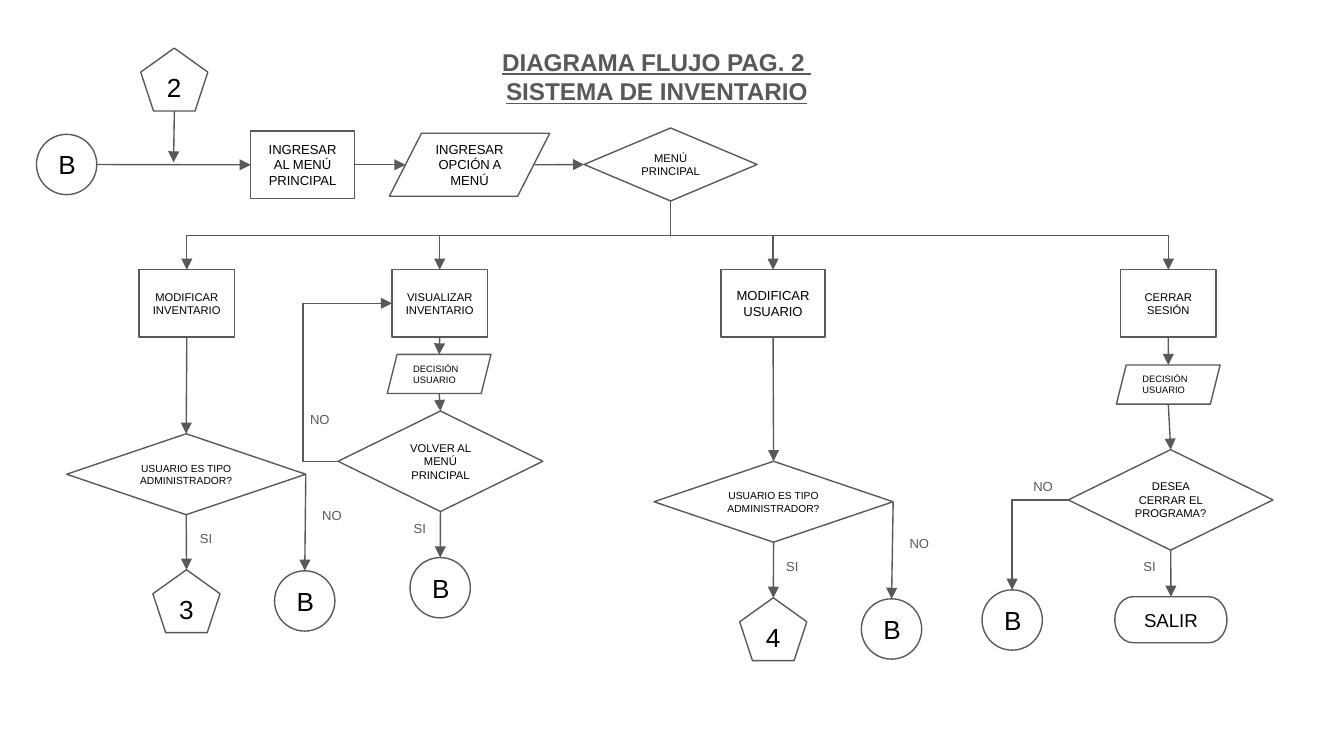
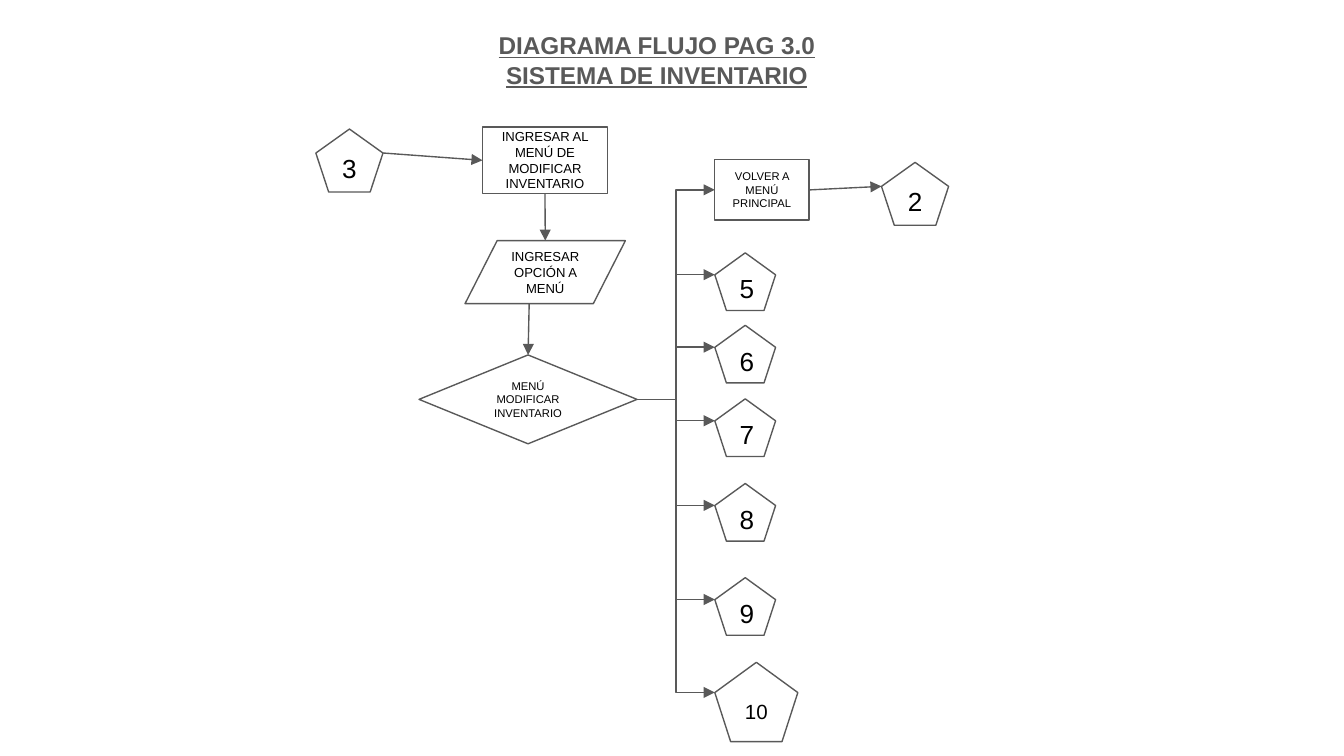
from dataclasses import dataclass

from lxml.etree import SubElement
from pptx import Presentation
from pptx.dml.color import RGBColor
from pptx.enum.shapes import MSO_CONNECTOR as Route, MSO_SHAPE as Preset
from pptx.enum.text import MSO_ANCHOR as Anchor, PP_ALIGN as Align
from pptx.oxml.ns import qn
from pptx.util import Cm, Pt


@dataclass(frozen=True)
class Theme:
    font: str = "Arial"
    ink: RGBColor = RGBColor(0, 0, 0)
    gray: RGBColor = RGBColor(0x59, 0x59, 0x59)
    paper: RGBColor = RGBColor(0xFF, 0xFF, 0xFF)
    title: float = 13
    letter: float = 14
    button: float = 10
    wide: float = 11
    label: float = 7
    step: float = 7
    small: float = 6
    question: float = 5.5
    tiny: float = 5
    line: float = 0.75
    inset: float = 0.25


THEME = Theme()
CIRCLE = (1.14, 1.14)
PAGE = (1.27, 1.19)
SMALL_PAGE = (1.15, 1.09)
OPTION = (3.03, 1.19)
BOX = (1.8, 1.27)
WIDE_BOX = (1.96, 1.27)
INPUT = (1.96, 0.74)
QUESTION = (4.52, 1.53)
EXIT_QUESTION = (3.87, 1.9)
LABEL_WIDTH = {"SI": 0.76, "NO": 0.91}
LABEL_HEIGHT = 0.58
ROW = 5.1
EXITS = 13.51

KINDS = {
    "circle": Preset.OVAL,
    "page": Preset.REGULAR_PENTAGON,
    "box": Preset.RECTANGLE,
    "diamond": Preset.DIAMOND,
    "option": Preset.FLOWCHART_DATA,
    "input": Preset.PARALLELOGRAM,
    "end": Preset.FLOWCHART_TERMINATOR,
}
SIDES = {"left": (0, 0.5), "right": (1, 0.5), "top": (0.5, 0), "bottom": (0.5, 1)}
SPECIAL_SIDES = {
    "page": {"left": (0, 0.38), "right": (1, 0.38)},
    "option": {"left": (0.1, 0.5), "right": (0.9, 0.5), "bottom": (0.4, 1)},
}

MAIN_MENU = {
    "title": (0.64, ["DIAGRAMA FLUJO PAG. 2 ", "SISTEMA DE INVENTARIO"]),
    "nodes": [
        ("start", "circle", 0.69, 2.54, CIRCLE, "B", THEME.letter),
        ("page 2", "page", 2.66, 0.91, PAGE, "2", THEME.letter),
        ("enter", "box", 4.74, 2.48, WIDE_BOX, "INGRESAR AL MENÚ PRINCIPAL", THEME.step),
        ("option", "option", 7.36, 2.52, OPTION, "INGRESAR OPCIÓN A MENÚ", THEME.step),
        ("menu", "diamond", 11.04, 2.42, (3.27, 1.38), "MENÚ PRINCIPAL", THEME.small),
        ("inventory", "box", 2.63, ROW, BOX, "MODIFICAR INVENTARIO", THEME.small),
        ("view", "box", 7.41, ROW, BOX, "VISUALIZAR INVENTARIO", THEME.small),
        ("user", "box", 13.63, ROW, WIDE_BOX, "MODIFICAR USUARIO", THEME.step),
        ("close", "box", 21.18, ROW, BOX, "CERRAR SESIÓN", THEME.small),
        ("view input", "input", 7.32, 6.7, INPUT, "DECISIÓN USUARIO", THEME.tiny),
        ("close input", "input", 21.1, 6.9, INPUT, "DECISIÓN USUARIO", THEME.tiny),
        ("inventory admin", "diamond", 1.26, 8.2, QUESTION,
         "USUARIO ES TIPO ADMINISTRADOR?", THEME.question),
        ("back", "diamond", 6.39, 7.77, EXIT_QUESTION,
         "VOLVER AL MENÚ PRINCIPAL", THEME.small),
        ("user admin", "diamond", 12.36, 8.72, QUESTION,
         "USUARIO ES TIPO ADMINISTRADOR?", THEME.question),
        ("quit", "diamond", 20.19, 8.5, EXIT_QUESTION,
         "DESEA CERRAR EL PROGRAMA?", THEME.small),
        ("page 3", "page", 2.89, 10.77, PAGE, "3", THEME.letter),
        ("inventory B", "circle", 5.19, 10.79, CIRCLE, "B", THEME.letter),
        ("back B", "circle", 7.75, 10.54, CIRCLE, "B", THEME.letter),
        ("page 4", "page", 13.98, 11.3, PAGE, "4", THEME.letter),
        ("user B", "circle", 16.28, 11.32, CIRCLE, "B", THEME.letter),
        ("quit B", "circle", 18.56, 11.15, CIRCLE, "B", THEME.letter),
        ("exit", "end", 21.07, 11.28, (2.12, 0.87), "SALIR", THEME.button),
    ],
    "links": [
        ("start", "right", "enter", "left", "straight"),
        ("page 2", "bottom", (3.28, 3.07), None, "straight"),
        ("enter", "right", "option", "left", "straight"),
        ("option", "right", "menu", "left", "straight"),
        *[("menu", "bottom", target, "top", "drop")
          for target in ("inventory", "view", "user", "close")],
        ("inventory", "bottom", "inventory admin", "top", "straight"),
        ("inventory admin", "bottom", "page 3", "top", "straight"),
        ("inventory admin", "right", "inventory B", "top", "straight"),
        ("view", "bottom", "view input", "top", "straight"),
        ("view input", "bottom", "back", "top", "straight"),
        ("back", "bottom", "back B", "top", "straight"),
        ("back", "left", "view", "left", "loop"),
        ("user", "bottom", "user admin", "top", "straight"),
        ("user admin", "bottom", "page 4", "top", "straight"),
        ("user admin", "right", "user B", "top", "straight"),
        ("close", "bottom", "close input", "top", "straight"),
        ("close input", "bottom", "quit", "top", "straight"),
        ("quit", "bottom", "exit", "top", "straight"),
        ("quit", "left", "quit B", "top", "corner"),
    ],
    "labels": [
        ("SI", 3.53, 9.88), ("NO", 5.84, 9.45),
        ("SI", 7.57, 9.68), ("NO", 5.61, 7.62),
        ("SI", 14.61, 10.41), ("NO", 16.94, 9.98),
        ("SI", 21.36, 10.41), ("NO", 19.28, 8.89),
    ],
}

EXIT_TOPS = {"5": 4.78, "6": 6.15, "7": 7.54, "8": 9.14, "9": 10.92}
INVENTORY_MENU = {
    "title": (0.33, ["DIAGRAMA FLUJO PAG 3.0", "SISTEMA DE INVENTARIO"]),
    "nodes": [
        ("page 3", "page", 5.97, 2.44, PAGE, "3", THEME.letter),
        ("enter", "box", 9.12, 2.4, (2.36, 1.26),
         "INGRESAR AL MENÚ DE MODIFICAR INVENTARIO", THEME.step),
        ("option", "option", 8.79, 4.55, OPTION, "INGRESAR OPCIÓN A MENÚ", THEME.step),
        ("menu", "diamond", 7.92, 6.71, (4.12, 1.68),
         "MENÚ MODIFICAR INVENTARIO", THEME.small),
        ("back", "box", EXITS, 3.02, (1.78, 1.14), "VOLVER A MENÚ PRINCIPAL", THEME.small),
        ("page 2", "page", 16.66, 3.07, PAGE, "2", THEME.letter),
        *[(number, "page", EXITS, top, SMALL_PAGE, number, THEME.letter)
          for number, top in EXIT_TOPS.items()],
        ("10", "page", EXITS, 12.52, (1.57, 1.5), "10", THEME.wide),
    ],
    "links": [
        ("page 3", "right", "enter", "left", "straight"),
        ("enter", "bottom", "option", "top", "straight"),
        ("option", "bottom", "menu", "top", "straight"),
        *[("menu", "right", target, "left", "step")
          for target in ("back", *EXIT_TOPS, "10")],
        ("back", "right", "page 2", "left", "straight"),
    ],
    "labels": [],
}


def write(shape, lines, size, color, align=Align.CENTER, anchor=Anchor.MIDDLE, title=False):
    frame = shape.text_frame
    frame.word_wrap = True
    frame.vertical_anchor = anchor
    frame.margin_left = frame.margin_right = Cm(THEME.inset)
    frame.margin_top = frame.margin_bottom = Cm(THEME.inset)
    for index, line in enumerate(lines):
        paragraph = frame.add_paragraph() if index else frame.paragraphs[0]
        paragraph.alignment = align
        run = paragraph.add_run()
        run.text = line
        run.font.name = THEME.font
        run.font.size = Pt(size)
        run.font.color.rgb = color
        if title:
            run.font.bold = run.font.underline = True


def add_node(slide, kind, left, top, size, text, text_size):
    shape = slide.shapes.add_shape(KINDS[kind], Cm(left), Cm(top), *map(Cm, size))
    shape.shadow.inherit = False
    shape.fill.solid()
    shape.fill.fore_color.rgb = THEME.paper
    shape.line.color.rgb = THEME.gray
    shape.line.width = Pt(THEME.line)
    align = Align.LEFT if kind == "input" else Align.CENTER
    write(shape, [text], text_size, THEME.ink, align)


def find_point(nodes, place, side):
    if side is None:
        return place
    kind, left, top, (width, height) = nodes[place][:4]
    across, down = SPECIAL_SIDES.get(kind, {}).get(side, SIDES[side])
    return left + across * width, top + down * height


def add_link(slide, start, end, route):
    (x1, y1), (x2, y2) = start, end
    if route == "drop":
        middle_x, middle_y = (x1 + x2) / 2, (y1 + y2) / 2
        reach = (y2 - y1) / 2 if x2 < x1 else (y1 - y2) / 2
        rise = abs(x2 - x1) / 2
        x1, x2 = middle_x - reach, middle_x + reach
        y1, y2 = middle_y - rise, middle_y + rise
    kind = Route.STRAIGHT if route == "straight" else Route.ELBOW
    connector = slide.shapes.add_connector(kind, Cm(x1), Cm(y1), Cm(x2), Cm(y2))
    connector.line.color.rgb = THEME.gray
    connector.line.width = Pt(THEME.line)
    properties = connector._element.spPr
    geometry = properties.find(qn("a:prstGeom"))
    if route == "drop":
        rotation = 90 if x1 < x2 else 270
        properties.find(qn("a:xfrm")).set("rot", str(rotation * 60000))
    elif route == "corner":
        geometry.set("prst", "bentConnector2")
    elif route == "loop":
        guides = geometry.find(qn("a:avLst"))
        SubElement(guides, qn("a:gd"), name="adj1", fmla="val -64800")
    SubElement(properties.find(qn("a:ln")), qn("a:tailEnd"), type="triangle")
    SubElement(properties, qn("a:effectLst"))


def add_label(slide, text, left, top):
    box = slide.shapes.add_textbox(
        Cm(left), Cm(top), Cm(LABEL_WIDTH[text]), Cm(LABEL_HEIGHT))
    write(box, [text], THEME.label, THEME.gray, Align.LEFT, Anchor.TOP)


def add_title(slide, top, lines):
    box = slide.shapes.add_textbox(Cm(7.24), Cm(top), Cm(10.34), Cm(1.19))
    write(box, lines, THEME.title, THEME.gray, anchor=Anchor.TOP, title=True)


def build_flow(presentation, flow):
    slide = presentation.slides.add_slide(presentation.slide_layouts[6])
    nodes = {name: node for name, *node in flow["nodes"]}
    for node in nodes.values():
        add_node(slide, *node)
    for source, source_side, target, target_side, route in flow["links"]:
        add_link(slide, find_point(nodes, source, source_side),
                 find_point(nodes, target, target_side), route)
    for label in flow["labels"]:
        add_label(slide, *label)
    add_title(slide, *flow["title"])


def main():
    presentation = Presentation()
    presentation.slide_width = Cm(25.4)
    presentation.slide_height = Cm(14.29)
    for flow in (MAIN_MENU, INVENTORY_MENU):
        build_flow(presentation, flow)
    presentation.save("out.pptx")


if __name__ == "__main__":
    main()
